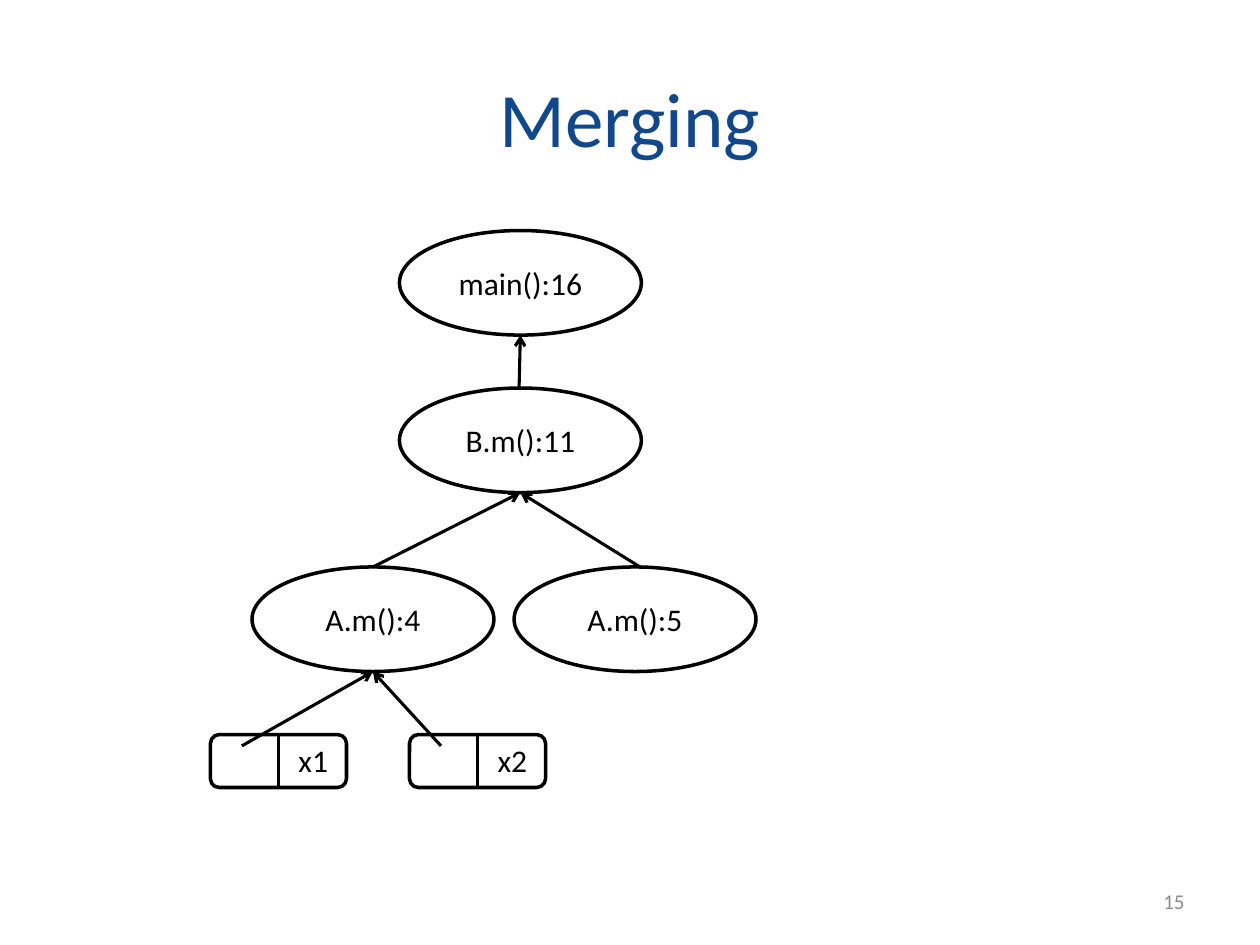
from pptx import Presentation
from pptx.dml.color import RGBColor
from pptx.enum.shapes import MSO_CONNECTOR, MSO_SHAPE
from pptx.enum.text import MSO_ANCHOR, PP_ALIGN
from pptx.oxml.ns import qn
from pptx.util import Inches, Pt
from lxml import etree

OVAL, ROUNDED = MSO_SHAPE.OVAL, MSO_SHAPE.ROUNDED_RECTANGLE
STRAIGHT = MSO_CONNECTOR.STRAIGHT
TOP, MIDDLE = MSO_ANCHOR.TOP, MSO_ANCHOR.MIDDLE
LEFT, CENTER, RIGHT = PP_ALIGN.LEFT, PP_ALIGN.CENTER, PP_ALIGN.RIGHT
BLACK = RGBColor(0x00, 0x00, 0x00)
BLUE = RGBColor(0x11, 0x47, 0x8B)
GRAY = RGBColor(0x8C, 0x8C, 0x8C)

NODE_W, NODE_H = 1.92, 0.83
NODES = [
    ("main():16", 3.17, 1.83),
    ("B.m():11", 3.17, 3.08),
    ("A.m():4", 2, 4.5),
    ("A.m():5", 4.08, 4.5),
]
EDGES = [
    ((4.12, 3.08), "main():16"),
    ((2.96, 4.5), "B.m():11"),
    ((5.08, 4.5), "B.m():11"),
    ((1.92, 5.92), "A.m():4"),
    ((3.5, 5.92), "A.m():4"),
]
CELL_Y, CELL_W, CELL_H = 5.83, 1.08, 0.42
CELLS = [("x1", 1.67), ("x2", 3.25)]
LABEL_W = 0.49
BODY = {"name": "Calibri", "size": Pt(18)}

prs = Presentation()
prs.slide_width, prs.slide_height = Inches(10), Inches(7.5)
s = prs.slides.add_slide(prs.slide_layouts[6])


def write(sp, text, fmt=BODY, color=BLACK, align=CENTER, anchor=MIDDLE):
    tf = sp.text_frame
    tf.word_wrap = True
    tf.vertical_anchor = anchor
    p = tf.paragraphs[0]
    p.alignment = align
    r = p.add_run()
    r.text = text
    for key, value in fmt.items():
        setattr(r.font, key, value)
    r.font.color.rgb = color


def add_text(box, text, **style):
    write(s.shapes.add_textbox(*map(Inches, box)), text, **style)


def add_outline(kind, *box):
    sp = s.shapes.add_shape(kind, *map(Inches, box))
    sp.shadow.inherit = False
    sp.fill.background()
    sp.line.color.rgb = BLACK
    sp.line.width = Pt(2)
    return sp


def add_line(start, end, width, arrow=False):
    line = s.shapes.add_connector(STRAIGHT, *map(Inches, start + end))
    line.line.color.rgb = BLACK
    line.line.width = Pt(width)
    sp_pr = line._element.spPr
    if arrow:
        etree.SubElement(sp_pr.find(qn("a:ln")), qn("a:tailEnd"), type="arrow")
    etree.SubElement(sp_pr, qn("a:effectLst"))
    return line


add_text((0.5, 0.3, 9, 1.25), "Merging", fmt={**BODY, "size": Pt(44)}, color=BLUE)

bottoms = {}
for name, x, y in NODES:
    write(add_outline(OVAL, x, y, NODE_W, NODE_H), name)
    bottoms[name] = (x + NODE_W / 2, y + NODE_H)

for start, parent in EDGES:
    add_line(start, bottoms[parent], 1.75, arrow=True)

for name, x in CELLS:
    cell = add_outline(ROUNDED, x, CELL_Y, CELL_W, CELL_H)
    mid = x + CELL_W / 2
    divider = add_line((mid, CELL_Y), (mid, CELL_Y + CELL_H), 1.5)
    divider.begin_connect(cell, 0)
    divider.end_connect(cell, 2)
    add_text((x + CELL_W - LABEL_W + 0.01, CELL_Y, LABEL_W, CELL_H), name, align=LEFT, anchor=TOP)

add_text((7.17, 6.95, 2.33, 0.4), "15", fmt={**BODY, "size": Pt(12)}, color=GRAY, align=RIGHT)

prs.save("out.pptx")
